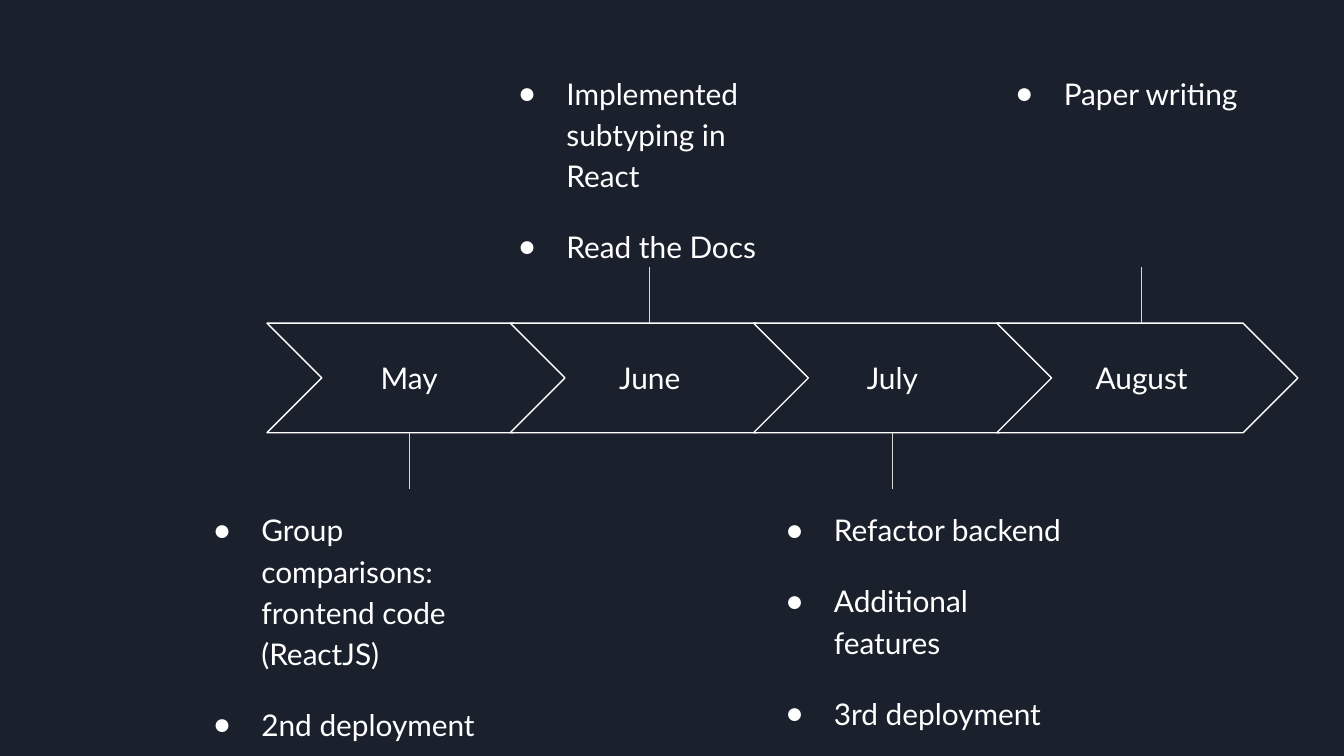
"""Build a four-month project timeline with alternating notes above and below."""
import lxml.etree
import pptx
import pptx.dml.color
import pptx.enum.shapes
import pptx.enum.text
import pptx.oxml.ns
import pptx.util

NAVY = pptx.dml.color.RGBColor(0x1B, 0x21, 0x2C)
WHITE = pptx.dml.color.RGBColor(0xFF, 0xFF, 0xFF)
GREY = pptx.dml.color.RGBColor(0xD9, 0xD9, 0xD9)
PT = pptx.util.Pt
ALIGN = pptx.enum.text.PP_ALIGN
ANCHOR = pptx.enum.text.MSO_ANCHOR
FONT = {"name": "Lato", "size": PT(16), "bold": False}
LABEL = {"alignment": ALIGN.CENTER}
LIST = {"alignment": ALIGN.LEFT, "line_spacing": 1.15,
        "space_before": PT(0), "space_after": PT(16)}

prs = pptx.Presentation()
prs.slide_width = pptx.util.Inches(10)
prs.slide_height = prs.slide_width * 9 // 16
UNIT = prs.slide_width / 100
STEP, BAND_TOP, BAND_H = 18.1, 24.05, 8.15
BAND_BOTTOM = BAND_TOP + BAND_H


def grid(*values):
    """Turn hundredths of the slide width into lengths."""
    return [round(v * UNIT) for v in values]


def write(sp, box, lines, anchor, para):
    """Place a text shape and format each of its paragraphs."""
    sp.left, sp.top, sp.width, sp.height = grid(*box)
    tf = sp.text_frame
    tf.text = "\n".join(lines)
    frame = {"word_wrap": True, "vertical_anchor": anchor,
             "auto_size": pptx.enum.text.MSO_AUTO_SIZE.NONE}
    for side in ("left", "right", "top", "bottom"):
        frame["margin_" + side] = round(UNIT)
    for key, value in frame.items():
        setattr(tf, key, value)
    for p in tf.paragraphs:
        for key, value in para.items():
            setattr(p, key, value)
        for r in p.runs:
            for key, value in FONT.items():
                setattr(r.font, key, value)
            r.font.color.rgb = WHITE


s = prs.slides.add_slide(prs.slide_layouts.get_by_name("Comparison"))
s.background.fill.solid()
s.background.fill.fore_color.rgb = NAVY
title, *bodies = [ph for ph in s.placeholders if ph.placeholder_format.idx < 10]
title.element.getparent().remove(title.element)

months = [
    ("May", 30.45, 13.45, ["Group comparisons: frontend code (ReactJS)", "2nd deployment"]),
    ("June", 48.35, 36.15, ["Implemented subtyping in React", "Read the Docs"]),
    ("July", 66.4, 56.05, ["Refactor backend", "Additional features", "3rd deployment"]),
    ("August", 84.95, 73.15, ["Paper writing"]),
]

for i, ((month, centre, list_left, items), body) in enumerate(zip(months, bodies)):
    above = i % 2 == 1
    sp = s.shapes.add_shape(pptx.enum.shapes.MSO_SHAPE.CHEVRON,
                            *grid(19.87 + i * STEP, BAND_TOP, 22.4, BAND_H))
    sp.shadow.inherit = False
    sp.fill.solid()
    sp.fill.fore_color.rgb = NAVY
    sp.line.color.rgb = WHITE
    sp.line.width = PT(0.75)

    label_box = (centre - 7.2, 25.55, 14.4, 5.1)
    write(s.shapes.add_textbox(*grid(*label_box)), label_box, [month], ANCHOR.MIDDLE, LABEL)

    start, end = (BAND_TOP - 4.2, BAND_TOP) if above else (BAND_BOTTOM, BAND_BOTTOM + 4.2)
    line = s.shapes.add_connector(pptx.enum.shapes.MSO_CONNECTOR.STRAIGHT,
                                  *grid(centre, start, centre, end))
    line.line.color.rgb = GREY
    line.line.width = PT(0.75)
    lxml.etree.SubElement(line.element.spPr, pptx.oxml.ns.qn("a:effectLst"))

    write(body, (list_left, 4.2 if above else 36.7, 24.5, 9.9), items, ANCHOR.TOP, LIST)
    for p in body.text_frame.paragraphs:
        pPr = p._p.get_or_add_pPr()
        pPr.set("marL", str(round(5 * UNIT)))
        pPr.set("indent", str(round(-3.6 * UNIT)))
        colour = lxml.etree.SubElement(pPr, pptx.oxml.ns.qn("a:buClr"))
        lxml.etree.SubElement(colour, pptx.oxml.ns.qn("a:srgbClr")).set("val", str(WHITE))
        lxml.etree.SubElement(pPr, pptx.oxml.ns.qn("a:buChar")).set("char", "●")

prs.save("out.pptx")
